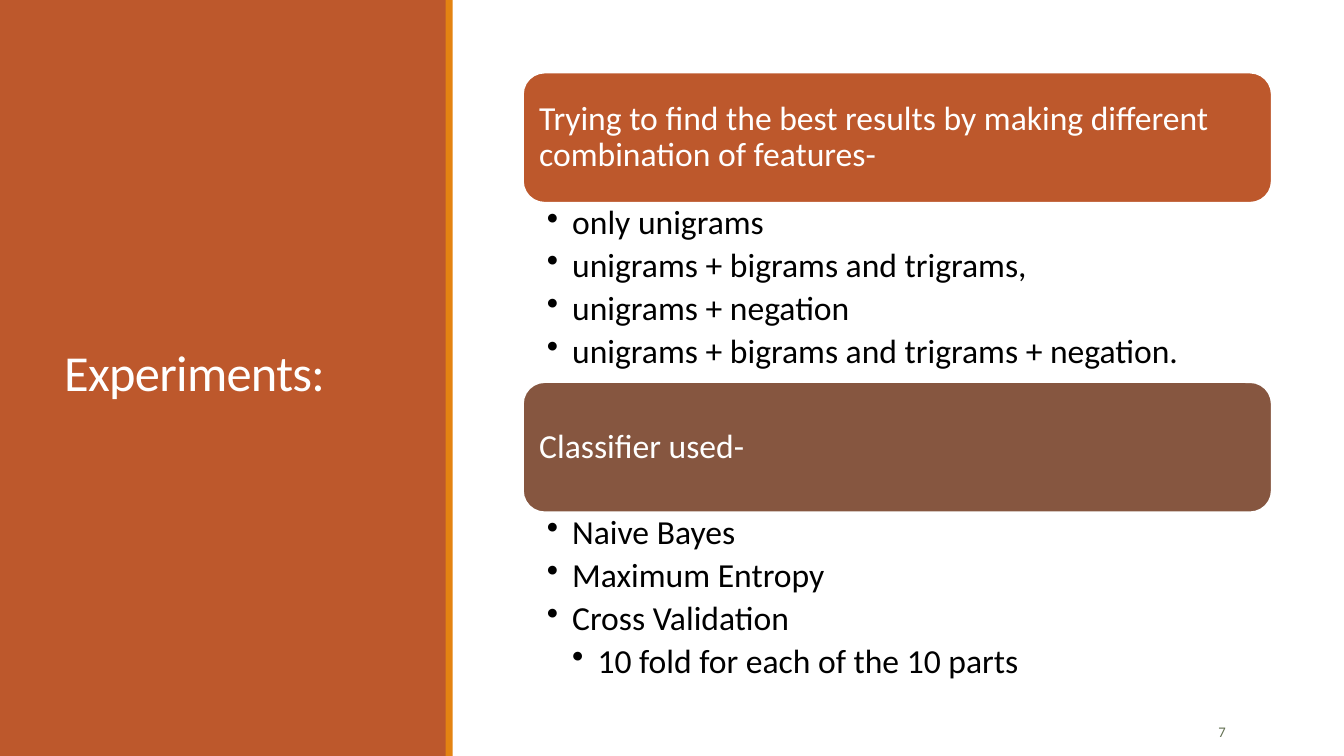
import pptx
import pptx.dml.color
import pptx.enum.shapes
import pptx.enum.text
import pptx.oxml.ns
import pptx.util
from lxml import etree

Cm = pptx.util.Cm
Pt = pptx.util.Pt
RGBColor = pptx.dml.color.RGBColor
Shape = pptx.enum.shapes.MSO_SHAPE
Align = pptx.enum.text.PP_ALIGN
Anchor = pptx.enum.text.MSO_ANCHOR

RUST = RGBColor(0xBD, 0x58, 0x2C)
ORANGE = RGBColor(0xE4, 0x83, 0x12)
BROWN = RGBColor(0x86, 0x56, 0x40)
OLIVE = RGBColor(0x63, 0x70, 0x52)
WHITE = RGBColor(0xFF, 0xFF, 0xFF)
BLACK = RGBColor(0, 0, 0)

SECTIONS = [
    (RUST, "Trying to find the best results by making different combination of features-", [
        ("only unigrams", 1),
        ("unigrams + bigrams and trigrams,", 1),
        ("unigrams + negation", 1),
        ("unigrams + bigrams and trigrams + negation.", 1),
    ]),
    (BROWN, "Classifier used-", [
        ("Naive Bayes", 1),
        ("Maximum Entropy", 1),
        ("Cross Validation", 1),
        ("10 fold for each of the 10 parts", 2),
    ]),
]
SECTION_LEFT, SECTION_TOP, SECTION_WIDTH = 13.18, 1.83, 18.87
HEADING_HEIGHT, LIST_HEIGHT = 3.28, 4.52


class SlideBuilder:
    font_name = "Calibri"
    body_size = 24
    indent = 0.64

    def __init__(self, slide):
        self.slide = slide

    def block(self, kind, left, top, width, height, color):
        shape = self.slide.shapes.add_shape(kind, Cm(left), Cm(top), Cm(width), Cm(height))
        shape.shadow.inherit = False
        shape.fill.solid()
        shape.fill.fore_color.rgb = color
        shape.line.fill.background()
        return shape

    def frame(self, shape, insets, anchor):
        frame = shape.text_frame
        frame.word_wrap = True
        frame.vertical_anchor = anchor
        frame.margin_left, frame.margin_top, frame.margin_right, frame.margin_bottom = map(Cm, insets)
        return frame

    def set_text(self, paragraph, text, size, color, spacing=0.9, align=Align.LEFT):
        paragraph.text = text
        paragraph.alignment = align
        paragraph.line_spacing = spacing
        paragraph.font.name = self.font_name
        paragraph.font.size = Pt(size)
        paragraph.font.color.rgb = color

    def label(self, text, left, top, width, height, size, color, spacing=1.0, align=Align.LEFT):
        box = self.slide.shapes.add_textbox(Cm(left), Cm(top), Cm(width), Cm(height))
        frame = self.frame(box, (0.25, 0.13, 0.25, 0.13), Anchor.MIDDLE)
        self.set_text(frame.paragraphs[0], text, size, color, spacing, align)
        return frame.paragraphs[0]

    def heading(self, text, top, color):
        shape = self.block(Shape.ROUNDED_RECTANGLE, SECTION_LEFT, top, SECTION_WIDTH, HEADING_HEIGHT, color)
        shape.line.color.rgb = WHITE
        shape.line.width = Pt(1.25)
        frame = self.frame(shape, (0.25,) * 4, Anchor.MIDDLE)
        self.set_text(frame.paragraphs[0], text, self.body_size, WHITE)

    def bullets(self, items, top):
        box = self.slide.shapes.add_textbox(Cm(SECTION_LEFT), Cm(top), Cm(SECTION_WIDTH), Cm(LIST_HEIGHT))
        frame = self.frame(box, (0.6, 0.08, 0.48, 0.08), Anchor.TOP)
        for index, (text, level) in enumerate(items):
            paragraph = frame.add_paragraph() if index else frame.paragraphs[0]
            self.set_text(paragraph, text, self.body_size, BLACK)
            paragraph.level = level
            paragraph.space_before = Pt(0)
            paragraph.space_after = Pt(self.body_size * 0.2)
            self.add_bullet(paragraph, level)

    def add_bullet(self, paragraph, level):
        properties = paragraph._p.get_or_add_pPr()
        properties.set("marL", str(Cm(self.indent * level)))
        properties.set("indent", str(-Cm(self.indent)))
        bullet = etree.Element(pptx.oxml.ns.qn("a:buChar"), char="•")
        properties.find(pptx.oxml.ns.qn("a:defRPr")).addprevious(bullet)


def main():
    presentation = pptx.Presentation()
    presentation.slide_width = Cm(33.87)
    presentation.slide_height = Cm(19.05)
    builder = SlideBuilder(presentation.slides.add_slide(presentation.slide_layouts[6]))

    builder.block(Shape.RECTANGLE, 0, 0, 11.25, 19.05, RUST)
    title = builder.label("Experiments:", 1.37, 1.45, 8.56, 16.03, 36, WHITE, spacing=0.85)
    title.font._rPr.set("spc", "-50")
    builder.block(Shape.RECTANGLE, 11.23, 0, 0.18, 19.05, ORANGE)
    builder.label("7", 28.12, 17.93, 3.02, 1.02, 10.5, OLIVE, align=Align.RIGHT)

    for index, (color, heading, items) in enumerate(SECTIONS):
        top = SECTION_TOP + index * (HEADING_HEIGHT + LIST_HEIGHT)
        builder.heading(heading, top, color)
        builder.bullets(items, top + HEADING_HEIGHT)

    presentation.save("out.pptx")


if __name__ == "__main__":
    main()
